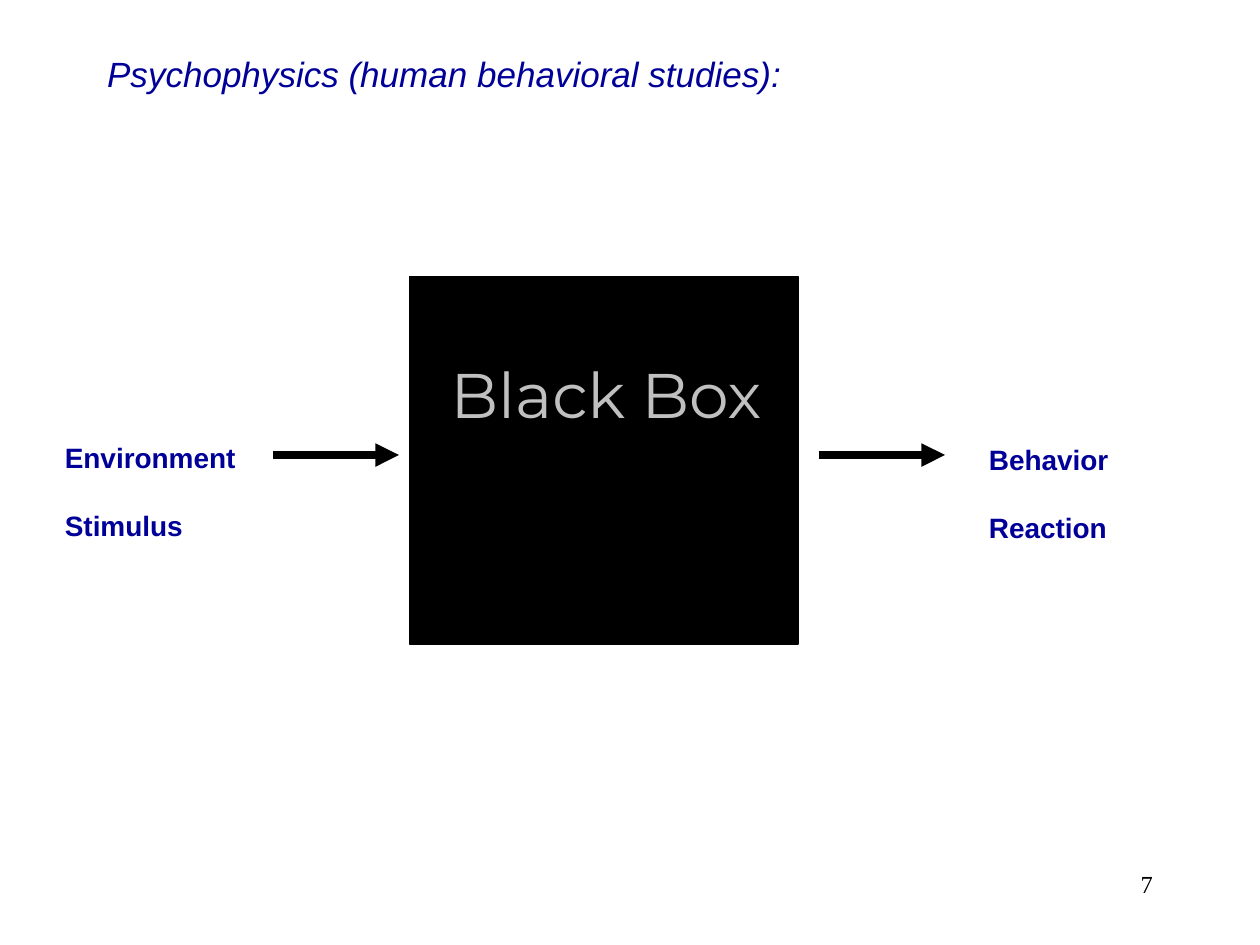
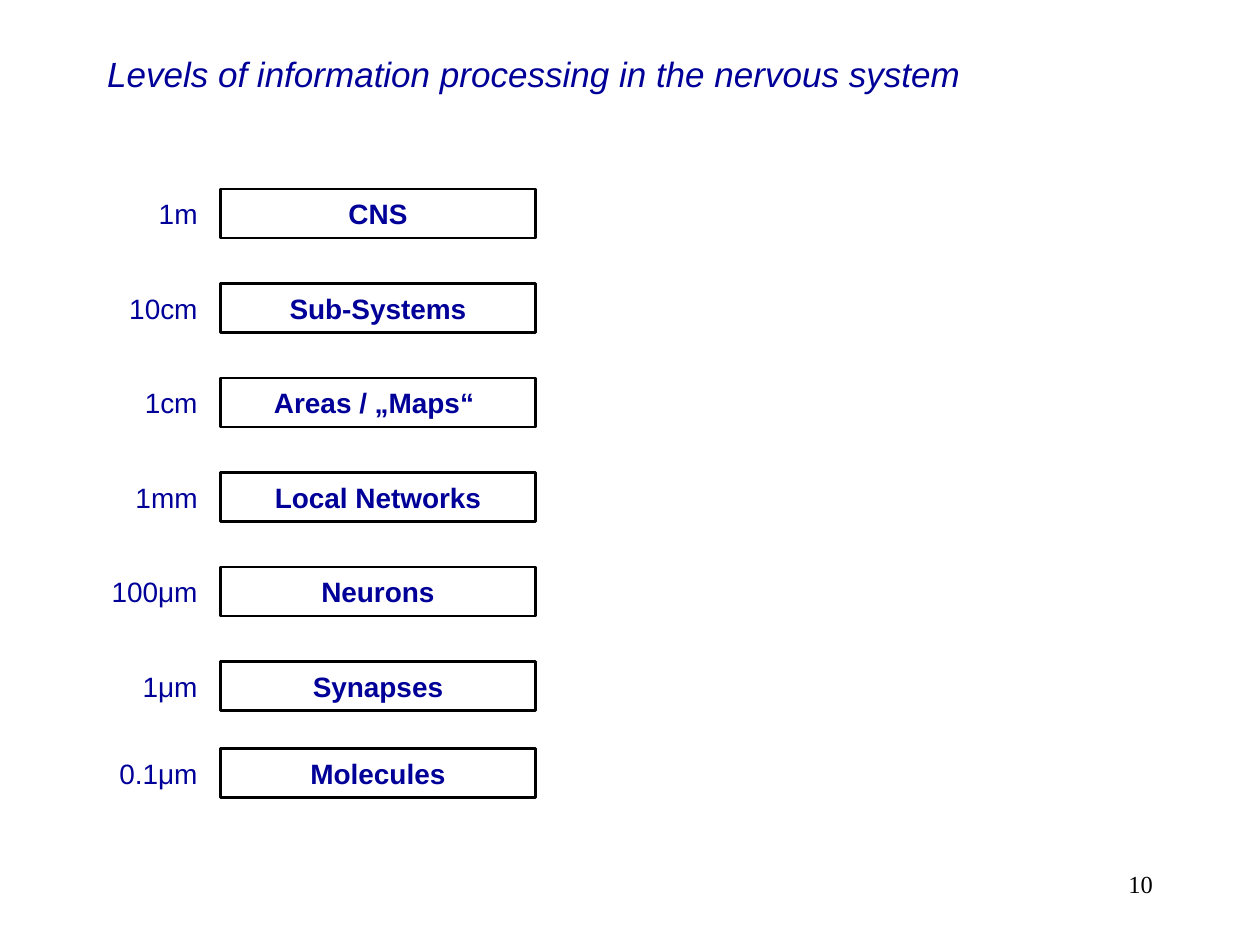
from typing import NamedTuple

import lxml.etree
import pptx
import pptx.dml.color
import pptx.enum.shapes
import pptx.enum.text
import pptx.oxml.ns
import pptx.util

Pt = pptx.util.Pt
Align = pptx.enum.text.PP_ALIGN
Anchor = pptx.enum.text.MSO_ANCHOR
RGBColor = pptx.dml.color.RGBColor
qn = pptx.oxml.ns.qn

NAVY = RGBColor(0x00, 0x00, 0x99)
BLACK = RGBColor(0x00, 0x00, 0x00)
SILVER = RGBColor(0xC0, 0xC0, 0xC0)

TOP_INSET = 4.6
PARAGRAPH_GAP = 20


class Area(NamedTuple):
    left: float
    top: float
    width: float
    height: float


class TextStyle(NamedTuple):
    size: float
    font: str = "Arial"
    color: RGBColor = NAVY
    bold: bool = False
    italic: bool = False
    align: Align = Align.LEFT


class Level(NamedTuple):
    scale: str
    name: str
    top: float


TITLE = TextStyle(20, italic=True)
PAGE_NUMBER = TextStyle(14, "Times New Roman", BLACK, align=Align.RIGHT)
SIDE_LABEL = TextStyle(16, bold=True)
LEVEL_NAME = TextStyle(16, bold=True, align=Align.CENTER)
LEVEL_SCALE = TextStyle(16, align=Align.RIGHT)
BOX_LABEL = TextStyle(36, "Montserrat", SILVER, align=Align.CENTER)

TITLE_AREA = Area(54, 30, 558, 39)
PAGE_NUMBER_AREA = Area(516, 492, 150, 36)

ARROW_Y = 260
ARROW_LENGTH = 72
ARROW_STARTS = (156, 468)

LEVEL_PITCH = 54
FIRST_LEVEL_TOP = 108
LAST_LEVEL_TOP = 427.7
LEVELS = [
    Level(scale, name, FIRST_LEVEL_TOP + index * LEVEL_PITCH)
    for index, (scale, name) in enumerate([
        ("1m", "CNS"),
        ("10cm", "Sub-Systems"),
        ("1cm", "Areas / „Maps“ "),
        ("1mm", "Local Networks"),
        ("100μm", "Neurons"),
        ("1μm", "Synapses"),
    ])
] + [Level("0.1μm", "Molecules", LAST_LEVEL_TOP)]


def lengths(area: Area) -> list[pptx.util.Length]:
    return [Pt(value) for value in area]


def write(frame, lines: list[str], style: TextStyle, top_inset: float = TOP_INSET) -> None:
    """Fill a text frame with one styled paragraph per line."""
    frame.word_wrap = True
    frame.auto_size = pptx.enum.text.MSO_AUTO_SIZE.NONE
    frame.vertical_anchor = Anchor.TOP
    frame.margin_top = Pt(top_inset)
    for index, line in enumerate(lines):
        para = frame.add_paragraph() if index else frame.paragraphs[0]
        para.alignment = style.align
        para.space_before = Pt(PARAGRAPH_GAP if index else 0)
        span = para.add_run()
        span.text = line
        span.font.name = style.font
        span.font.size = Pt(style.size)
        span.font.bold = style.bold
        span.font.italic = style.italic
        span.font.color.rgb = style.color


def add_text(page, area: Area, lines: list[str], style: TextStyle,
             top_inset: float = TOP_INSET):
    box = page.shapes.add_textbox(*lengths(area))
    write(box.text_frame, lines, style, top_inset)
    return box


def add_rectangle(page, area: Area, line_width: float, fill: RGBColor | None = None):
    box = page.shapes.add_shape(
        pptx.enum.shapes.MSO_SHAPE.RECTANGLE, *lengths(area))
    box.shadow.inherit = False
    if fill is None:
        box.fill.background()
    else:
        box.fill.solid()
        box.fill.fore_color.rgb = fill
    box.line.color.rgb = BLACK
    box.line.width = Pt(line_width)
    return box


def add_arrow(page, start: float) -> None:
    arrow = page.shapes.add_connector(
        pptx.enum.shapes.MSO_CONNECTOR.STRAIGHT,
        Pt(start), Pt(ARROW_Y), Pt(start + ARROW_LENGTH), Pt(ARROW_Y))
    arrow.line.color.rgb = BLACK
    arrow.line.width = Pt(4.5)
    lxml.etree.SubElement(arrow.line._get_or_add_ln(), qn("a:tailEnd"), type="triangle")
    lxml.etree.SubElement(arrow._element.spPr, qn("a:effectLst"))


def outline_text(span, color: RGBColor, width: float) -> None:
    outline = lxml.etree.Element(qn("a:ln"), w=str(Pt(width)))
    fill = lxml.etree.SubElement(outline, qn("a:solidFill"))
    lxml.etree.SubElement(fill, qn("a:srgbClr"), val=str(color))
    span.font._element.insert(0, outline)


def add_page(deck, title: str, number: int):
    page = deck.slides.add_slide(deck.slide_layouts.get_by_name("Title Only"))
    heading = page.shapes.title
    heading.left, heading.top, heading.width, heading.height = lengths(TITLE_AREA)
    write(heading.text_frame, [title], TITLE, top_inset=0)
    add_text(page, PAGE_NUMBER_AREA, [str(number)], PAGE_NUMBER)
    return page


def add_black_box_page(deck) -> None:
    page = add_page(deck, "Psychophysics (human behavioral studies):", 7)
    for start in ARROW_STARTS:
        add_arrow(page, start)
    add_rectangle(page, Area(234, 158, 222, 210), 0.75, BLACK)
    label = add_text(page, Area(246.5, 199.5, 199.5, 114.5), ["Black Box"],
                     BOX_LABEL, top_inset=3.6)
    label.text_frame.word_wrap = False
    outline_text(label.text_frame.paragraphs[0].runs[0], BLACK, 0.75)
    add_text(page, Area(30, 247, 120, 65), ["Environment", "Stimulus"], SIDE_LABEL)
    add_text(page, Area(558, 248, 90, 65), ["Behavior", "Reaction"], SIDE_LABEL)


def add_levels_page(deck) -> None:
    page = add_page(deck, "Levels of information processing in the nervous system", 10)
    for level in LEVELS:
        box = add_rectangle(page, Area(126, level.top, 180, 28), 1.5)
        write(box.text_frame, [level.name], LEVEL_NAME)
        add_text(page, Area(48, level.top, 72, 26.6), [level.scale], LEVEL_SCALE)


def main() -> None:
    deck = pptx.Presentation()
    deck.slide_width, deck.slide_height = Pt(720), Pt(540)
    add_black_box_page(deck)
    add_levels_page(deck)
    deck.save("out.pptx")


if __name__ == "__main__":
    main()
